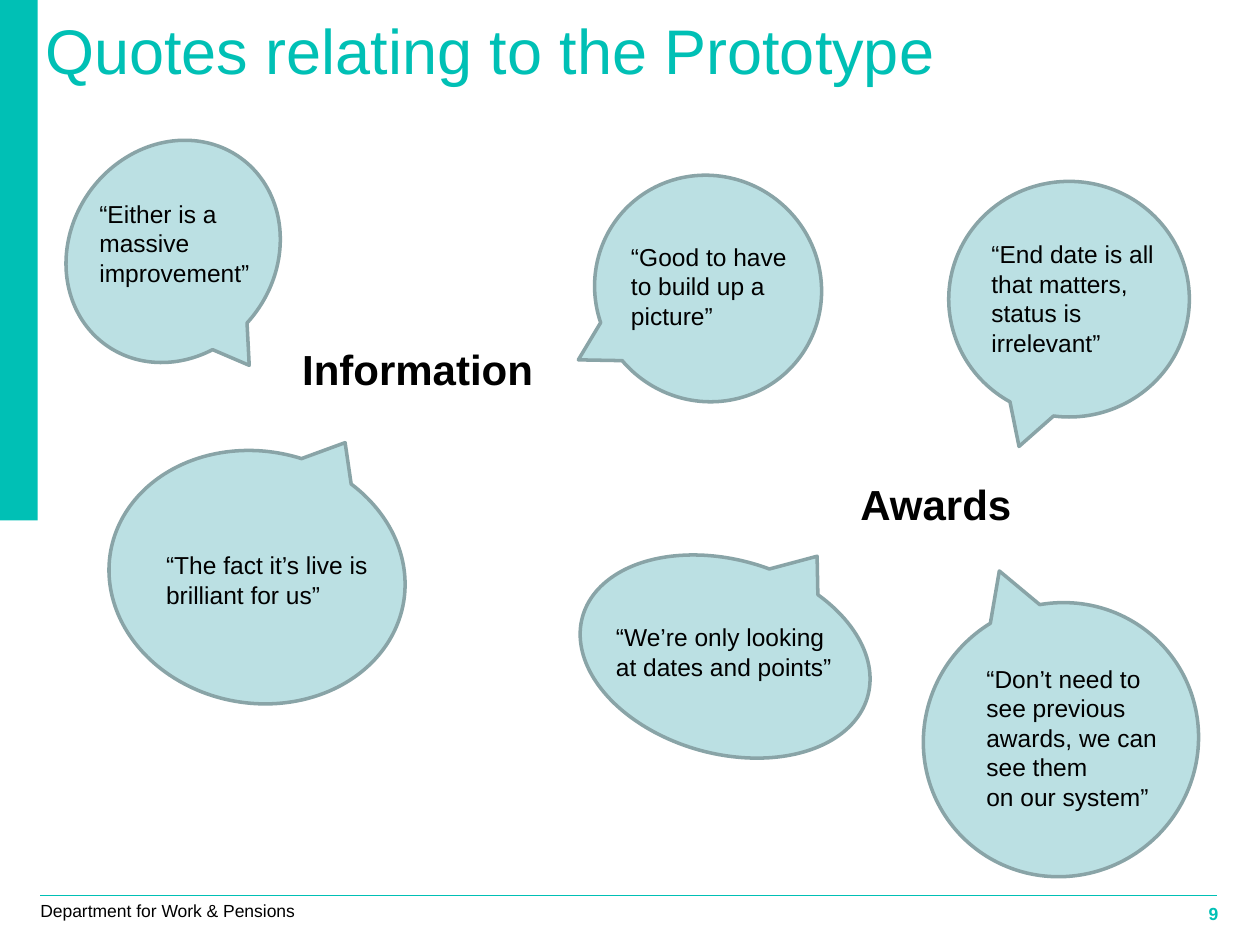
from dataclasses import dataclass

from lxml import etree
from pptx import Presentation
from pptx.dml.color import RGBColor
from pptx.enum import shapes, text
from pptx.oxml.ns import qn
from pptx.util import Inches, Pt

COLORS = {"teal": "00C0B5", "bubble": "BBE0E3", "outline": "89A4A7", "ink": "000000"}
Box = tuple[float, float, float, float]


@dataclass
class Quote:
    """A speech bubble with its own text box."""
    bubble: Box
    rotation: float
    words: Box
    lines: tuple[str, ...]
    tail: tuple[float, float] = (-0.208, 0.625)
    wrap: bool = False


@dataclass
class Label:
    """A piece of free text."""
    box: Box
    lines: tuple[str, ...]
    size: float
    color: str = "ink"
    bold: bool = False
    wrap: bool = False
    margins: tuple[float, float] = (0.1, 0.05)


TITLE = Label((0.36, 0.09, 9, 1.1), ("Quotes relating to the Prototype",), 36,
              "teal", wrap=True, margins=(0, 0))
FOOTER = Label((0.32, 7.14, 2.02, 0.17), ("Department for Work & Pensions",), 10,
               margins=(0, 0))
PAGE_NUMBER = Label((9.11, 7.15, 0.56, 0.16), ("9",), 10, "teal", True, True, (0, 0))
TOPICS = [
    Label((2.3, 2.68, 2.03, 0.5), ("Information",), 24, bold=True),
    Label((6.73, 3.75, 1.4, 0.5), ("Awards",), 24, bold=True),
]
QUOTES = [
    Quote((0.46, 1.18, 1.83, 1.63), 305.8, (0.69, 1.53, 1.39, 0.8),
          ("“Either is a", "massive", "improvement”")),
    Quote((0.86, 3.58, 2.36, 2), 189.9, (1.22, 4.32, 1.8, 0.57),
          ("“The fact it’s live is", "brilliant for us”"), tail=(-0.214, 0.586)),
    Quote((4.58, 4.44, 2.35, 1.54), 195.6, (4.79, 4.89, 1.91, 0.57),
          ("“We’re only looking", "at dates and points”")),
    Quote((4.71, 1.4, 1.82, 1.78), 42.4, (4.91, 1.87, 1.6, 0.8),
          ("“Good to have to build up a picture”",), wrap=True),
    Quote((7.53, 1.44, 1.91, 1.87), 0, (7.77, 1.85, 1.62, 1.04),
          ("“End date is all", "that matters,", "status is irrelevant”"), wrap=True),
    Quote((7.32, 4.79, 2.2, 2.16), 141.2, (7.73, 5.22, 1.61, 1.27),
          ("“Don’t need to", "see previous", "awards, we can", "see them",
           "on our system”")),
]


def color(name: str) -> RGBColor:
    """Look up a named colour."""
    return RGBColor.from_string(COLORS[name])


def add_filled(slide, kind, box: Box, fill: str):
    """Add a flat preset shape without outline."""
    figure = slide.shapes.add_shape(kind, *map(Inches, box))
    figure.shadow.inherit = False
    figure.fill.solid()
    figure.fill.fore_color.rgb = color(fill)
    figure.line.fill.background()
    return figure


def add_label(slide, label: Label):
    """Add a text box with one paragraph per line and return its frame."""
    frame = slide.shapes.add_textbox(*map(Inches, label.box)).text_frame
    frame.word_wrap = label.wrap
    frame.margin_left = frame.margin_right = Inches(label.margins[0])
    frame.margin_top = frame.margin_bottom = Inches(label.margins[1])
    frame.text = "\n".join(label.lines)
    for paragraph in frame.paragraphs:
        paragraph.font.name = "Arial"
        paragraph.font.size = Pt(label.size)
        paragraph.font.bold = label.bold
        paragraph.font.color.rgb = color(label.color)
    return frame


def add_quote(slide, quote: Quote) -> None:
    """Add a rotated speech bubble and its upright words."""
    bubble = add_filled(slide, shapes.MSO_SHAPE.OVAL_CALLOUT, quote.bubble, "bubble")
    bubble.rotation = quote.rotation
    bubble.adjustments[0], bubble.adjustments[1] = quote.tail
    bubble.line.color.rgb = color("outline")
    bubble.line.width = Pt(2)
    add_label(slide, Label(quote.words, quote.lines, 14, wrap=quote.wrap))


def add_frame(slide) -> None:
    """Add the side band, footer rule, footer and page number."""
    add_filled(slide, shapes.MSO_SHAPE.RECTANGLE, (0, 0, 0.3, 4.13), "teal")
    rule = slide.shapes.add_connector(
        shapes.MSO_CONNECTOR.STRAIGHT, *map(Inches, (0.32, 7.11, 9.66, 7.11)))
    rule.line.color.rgb = color("teal")
    rule.line.width = Pt(0.75)
    etree.SubElement(rule._element.spPr, qn("a:effectLst"))
    number = add_label(slide, PAGE_NUMBER).paragraphs[0]
    number.alignment = text.PP_ALIGN.RIGHT
    number.line_spacing = 1.1
    number.space_before = Pt(6.2)
    add_label(slide, FOOTER)


def main() -> None:
    """Build the slide of prototype quotes."""
    deck = Presentation()
    deck.slide_width, deck.slide_height = Inches(10), Inches(7.5)
    slide = deck.slides.add_slide(deck.slide_layouts[6])
    add_frame(slide)
    add_label(slide, TITLE)
    for quote in QUOTES:
        add_quote(slide, quote)
    for topic in TOPICS:
        add_label(slide, topic)
    deck.save("out.pptx")


if __name__ == "__main__":
    main()
